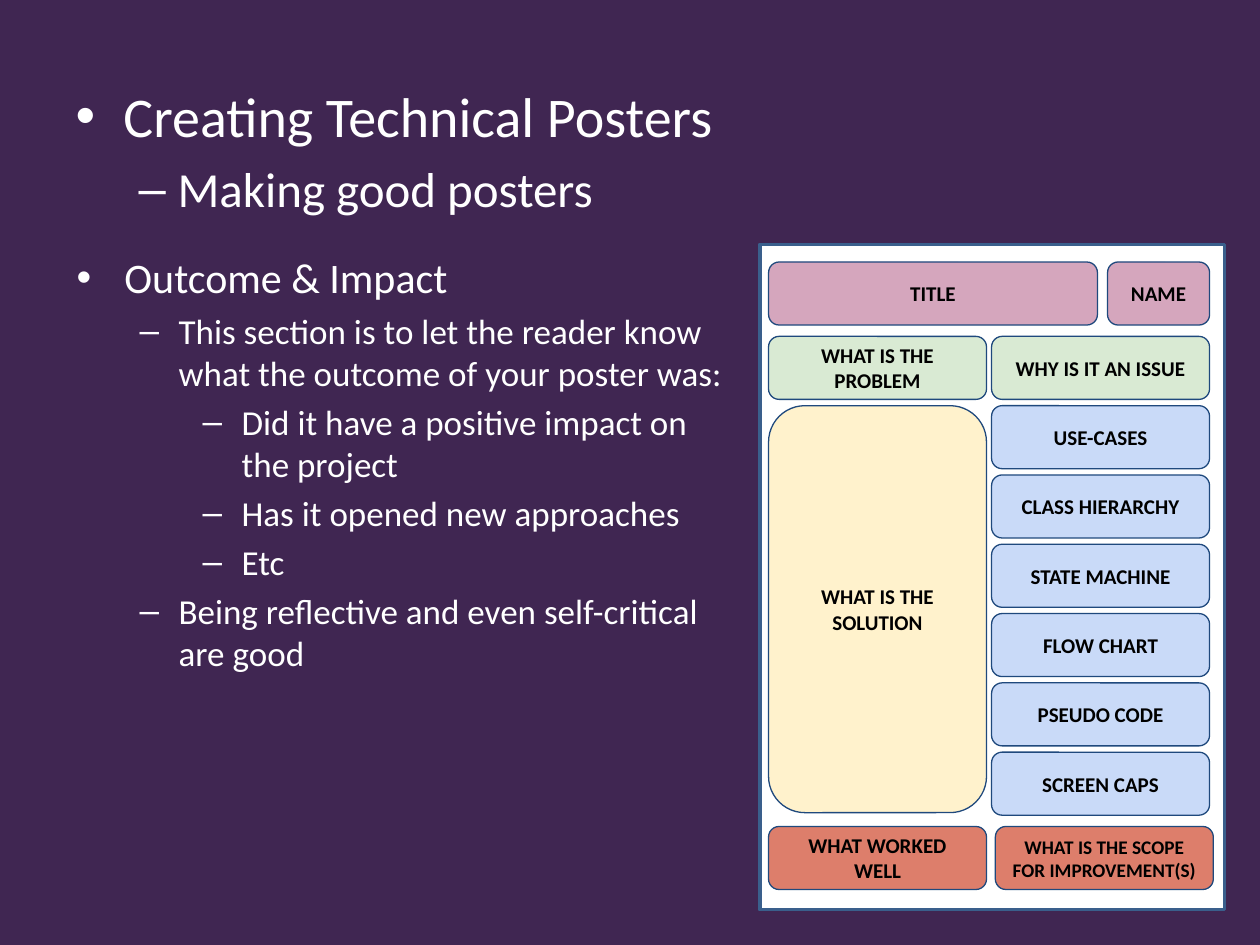
from pptx import Presentation
from pptx.dml.color import RGBColor
from pptx.enum.shapes import MSO_SHAPE as SHAPE
from pptx.enum.text import MSO_ANCHOR, MSO_AUTO_SIZE, PP_ALIGN
from pptx.oxml.ns import qn
from pptx.util import Inches, Pt

COLORS = {
    "background": "402652", "text": "FFFFFF", "label": "000000",
    "poster": "FFFFFF", "poster_edge": "3A5F8C", "box_edge": "1F497D",
    "heading": "D5A6BD", "problem": "D9EAD3", "solution": "FFF2CC",
    "detail": "C9DAF8", "review": "DD7E6B",
}
FONT = "Calibri"
BULLETS = ["•", "–", "–"]
INDENTS = [(0.38, -0.38), (0.81, -0.31), (1.31, -0.31)]

LEFT, RIGHT = 6.1, 7.87
COL_W, BOX_H = 1.73, 0.5
DETAIL_TOP, DETAIL_STEP = 3.22, 0.55
DETAILS = ["USE-CASES", "CLASS HIERARCHY", "STATE MACHINE",
           "FLOW CHART", "PSEUDO CODE", "SCREEN CAPS"]


def rgb(name):
    return RGBColor.from_string(COLORS[name])


def add_run(p, text, size, color, bold=False):
    r = p.add_run()
    r.text = text
    r.font.name = FONT
    r.font.size = Pt(size)
    r.font.bold = bold
    r.font.color.rgb = rgb(color)


def set_bullet(p, level):
    p.level = level
    pPr = p._p.get_or_add_pPr()
    margin, indent = INDENTS[level]
    pPr.set("marL", str(Inches(margin)))
    pPr.set("indent", str(Inches(indent)))
    font = pPr.makeelement(qn("a:buFont"), {"typeface": "Arial"})
    char = pPr.makeelement(qn("a:buChar"), {"char": BULLETS[level]})
    pPr.extend([font, char])


def fill_outline(sp, items):
    """Write (level, size, text) items as a bulleted outline."""
    tf = sp.text_frame
    tf.word_wrap = True
    tf.auto_size = MSO_AUTO_SIZE.NONE
    for i, (level, size, text) in enumerate(items):
        p = tf.add_paragraph() if i else tf.paragraphs[0]
        p.space_before = Pt(size * 0.2)
        set_bullet(p, level)
        add_run(p, text, size, "text")


def add_panel(shapes, kind, box, fill, edge, width):
    sp = shapes.add_shape(kind, *map(Inches, box))
    sp.shadow.inherit = False
    sp.fill.solid()
    sp.fill.fore_color.rgb = rgb(fill)
    sp.line.color.rgb = rgb(edge)
    sp.line.width = Pt(width)
    return sp


def add_box(shapes, text, fill, x, y, w=COL_W, h=BOX_H, size=12):
    sp = add_panel(shapes, SHAPE.ROUNDED_RECTANGLE, (x, y, w, h),
                   fill, "box_edge", 0.75)
    tf = sp.text_frame
    tf.word_wrap = True
    tf.vertical_anchor = MSO_ANCHOR.MIDDLE
    tf.margin_left = tf.margin_right = Inches(0.1)
    tf.margin_top = tf.margin_bottom = Inches(0.1)
    p = tf.paragraphs[0]
    p.alignment = PP_ALIGN.CENTER
    add_run(p, text, size, "label", bold=True)


def add_poster(slide):
    shapes = slide.shapes.add_group_shape().shapes
    add_panel(shapes, SHAPE.RECTANGLE, (6.03, 1.94, 3.69, 5.28),
              "poster", "poster_edge", 2)
    add_box(shapes, "TITLE", "heading", LEFT, 2.08, w=2.61)
    add_box(shapes, "NAME", "heading", 8.79, 2.08, w=0.81)
    add_box(shapes, "WHAT IS THE PROBLEM", "problem", LEFT, 2.67)
    add_box(shapes, "WHY IS IT AN ISSUE", "problem", RIGHT, 2.67)
    add_box(shapes, "WHAT IS THE SOLUTION", "solution", LEFT, DETAIL_TOP, h=3.23)
    for i, text in enumerate(DETAILS):
        add_box(shapes, text, "detail", RIGHT, DETAIL_TOP + i * DETAIL_STEP)
    add_box(shapes, "WHAT WORKED WELL", "review", LEFT, 6.56)
    add_box(shapes, "WHAT IS THE SCOPE FOR IMPROVEMENT(S)", "review",
            7.9, 6.56, size=11)


def add_heading(slide):
    body = slide.placeholders[1]
    body.left, body.top = Inches(0.5), Inches(0.6)
    body.width, body.height = Inches(9), Inches(6.9)
    fill_outline(body, [(0, 32, "Creating Technical Posters"),
                        (1, 28, "Making good posters")])


def add_outcome(slide):
    box = slide.shapes.add_textbox(Inches(0.51), Inches(1.95),
                                   Inches(5.36), Inches(5.35))
    fill_outline(box, [
        (0, 24, "Outcome & Impact"),
        (1, 20, "This section is to let the reader know what the outcome "
                "of your poster was:"),
        (2, 20, "Did it have a positive impact on the project"),
        (2, 20, "Has it opened new approaches"),
        (2, 20, "Etc"),
        (1, 20, "Being reflective and even self-critical are good"),
    ])


def main():
    prs = Presentation()
    prs.slide_width, prs.slide_height = Inches(10), Inches(7.5)
    slide = prs.slides.add_slide(prs.slide_layouts[1])
    slide.background.fill.solid()
    slide.background.fill.fore_color.rgb = rgb("background")
    title = slide.shapes.title.element
    title.getparent().remove(title)
    add_heading(slide)
    add_poster(slide)
    add_outcome(slide)
    prs.save("out.pptx")


if __name__ == "__main__":
    main()
